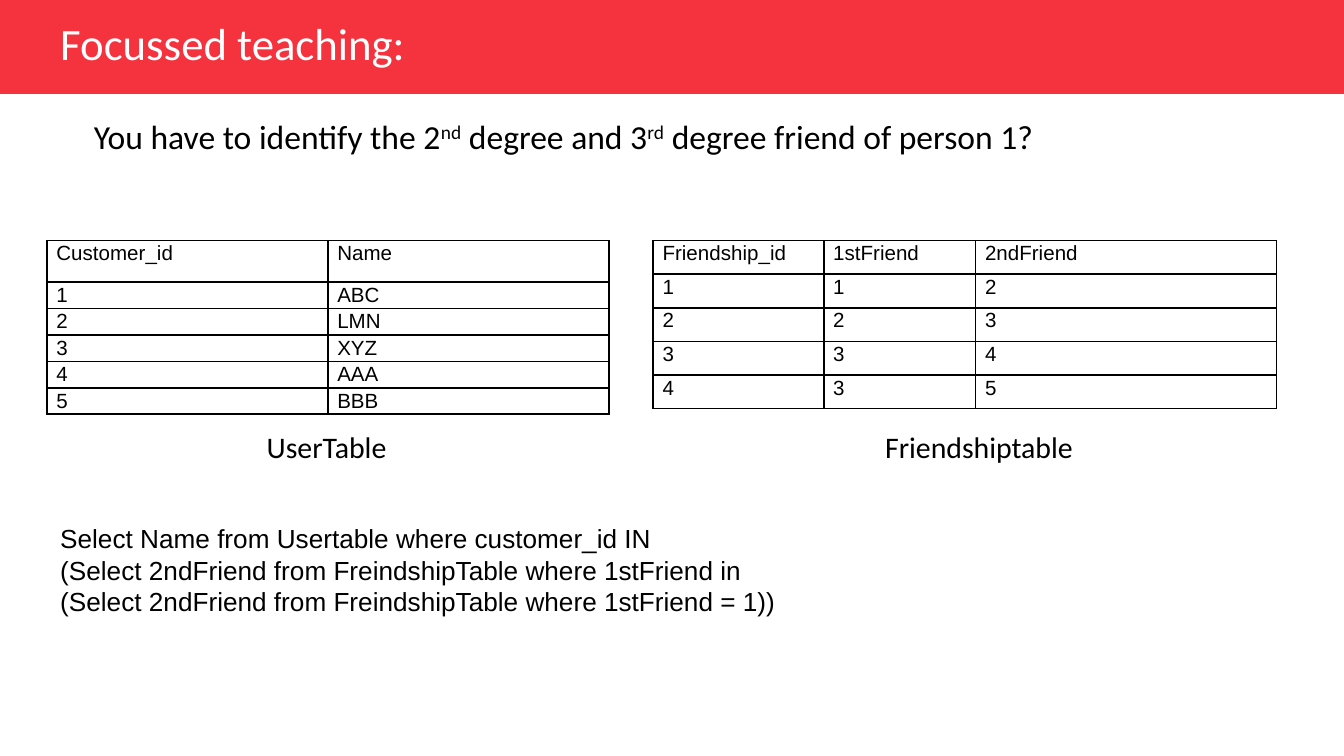
from lxml.etree import SubElement
from pptx import Presentation
from pptx.dml.color import RGBColor
from pptx.enum.shapes import MSO_SHAPE
from pptx.enum.text import MSO_ANCHOR, PP_ALIGN
from pptx.oxml.ns import qn
from pptx.util import Inches, Pt

RED = RGBColor(0xF5, 0x33, 0x3F)
WHITE = RGBColor(0xFF, 0xFF, 0xFF)
BLACK = RGBColor(0x00, 0x00, 0x00)
HEADING_FONT = "Calibri"
BODY_FONT = "Arial"


class SlideBuilder:
    def __init__(self, slide):
        self.slide = slide

    def style(self, paragraph, size, font, color=BLACK):
        paragraph.font.size = Pt(size)
        paragraph.font.name = font
        paragraph.font.color.rgb = color

    def banner(self, left, top, width, height, color):
        shape = self.slide.shapes.add_shape(
            MSO_SHAPE.RECTANGLE, Inches(left), Inches(top), Inches(width), Inches(height)
        )
        shape.shadow.inherit = False
        shape.fill.solid()
        shape.fill.fore_color.rgb = color
        shape.line.fill.background()

    def text(self, box, lines, size, font=HEADING_FONT, color=BLACK,
             align=PP_ALIGN.LEFT, anchor=MSO_ANCHOR.TOP, spacing=None):
        shape = self.slide.shapes.add_textbox(*map(Inches, box))
        frame = shape.text_frame
        frame.word_wrap = True
        frame.vertical_anchor = anchor
        frame.text = "\n".join(lines)
        for paragraph in frame.paragraphs:
            paragraph.alignment = align
            paragraph.line_spacing = spacing
            self.style(paragraph, size, font, color)
        return frame

    def question(self, box, parts, size):
        paragraph = self.text(box, [""], size, spacing=0.9).paragraphs[0]
        paragraph.space_before = Pt(7.5)
        properties = paragraph._p.get_or_add_pPr()
        properties.set("marL", str(Inches(0.5)))
        properties.set("indent", str(Inches(-0.25)))
        for content, raised in parts:
            run = paragraph.add_run()
            run.text = content
            if raised:
                run._r.get_or_add_rPr().set("baseline", "30000")

    def borders(self, cell):
        properties = cell._tc.get_or_add_tcPr()
        for side in ("a:lnL", "a:lnR", "a:lnT", "a:lnB"):
            line = SubElement(properties, qn(side), w=str(Pt(1)))
            fill = SubElement(line, qn("a:solidFill"))
            SubElement(fill, qn("a:srgbClr"), val=str(BLACK))

    def table(self, left, top, height, widths, row_heights, rows):
        frame = self.slide.shapes.add_table(
            len(rows), len(widths), Inches(left), Inches(top),
            Inches(sum(widths)), Inches(height)
        )
        table = frame.table
        table.first_row = False
        table.horz_banding = False
        for column, width in zip(table.columns, widths):
            column.width = Inches(width)
        for row, row_height, values in zip(table.rows, row_heights, rows):
            row.height = Inches(row_height)
            for cell, value in zip(row.cells, values):
                cell.margin_left = cell.margin_right = Inches(0.07)
                cell.margin_top = cell.margin_bottom = 0
                self.borders(cell)
                cell.fill.background()
                cell.text = value
                paragraph = cell.text_frame.paragraphs[0]
                paragraph.line_spacing = 1.07
                self.style(paragraph, 11, BODY_FONT)
        frame.height = Inches(height)


def main():
    presentation = Presentation()
    presentation.slide_width = Inches(10)
    presentation.slide_height = Inches(10) * 9 // 16
    slide = presentation.slides.add_slide(presentation.slide_layouts[6])
    builder = SlideBuilder(slide)

    builder.banner(0, 0, 10, 0.7, RED)
    builder.question((0.35, 0.85, 9.03, 0.64), [
        ("You have to identify the 2", False),
        ("nd", True),
        (" degree and 3", False),
        ("rd", True),
        (" degree friend of person 1?", False),
    ], 18)
    builder.text((0.35, 0.13, 6.6, 0.42), ["Focussed teaching:"], 24,
                 color=WHITE, anchor=MSO_ANCHOR.MIDDLE, spacing=0.9)

    names = ["ABC", "LMN", "XYZ", "AAA", "BBB"]
    users = [(str(number), name) for number, name in enumerate(names, 1)]
    builder.table(0.35, 1.79, 1.24, [2.09] * 2, [0.31] + [0] * len(users),
                  [("Customer_id", "Name")] + users)

    friendships = [
        ("Friendship_id", "1stFriend", "2ndFriend"),
        ("1", "1", "2"),
        ("2", "2", "3"),
        ("3", "3", "4"),
        ("4", "3", "5"),
    ]
    builder.table(4.86, 1.79, 1.26, [1.27, 1.13, 2.24], [0.25] * len(friendships), friendships)

    for left, width, caption in [(1.87, 1.12, "UserTable"), (6.36, 1.85, "Friendshiptable")]:
        builder.text((left, 3.14, width, 0.37), [caption], 16, align=PP_ALIGN.CENTER)

    builder.text((0.35, 3.84, 8.6, 1.04), [
        "Select Name from Usertable where customer_id IN",
        "(Select 2ndFriend from FreindshipTable where 1stFriend in",
        "(Select 2ndFriend from FreindshipTable where 1stFriend = 1))",
    ], 14, BODY_FONT)

    presentation.save("out.pptx")


if __name__ == "__main__":
    main()
